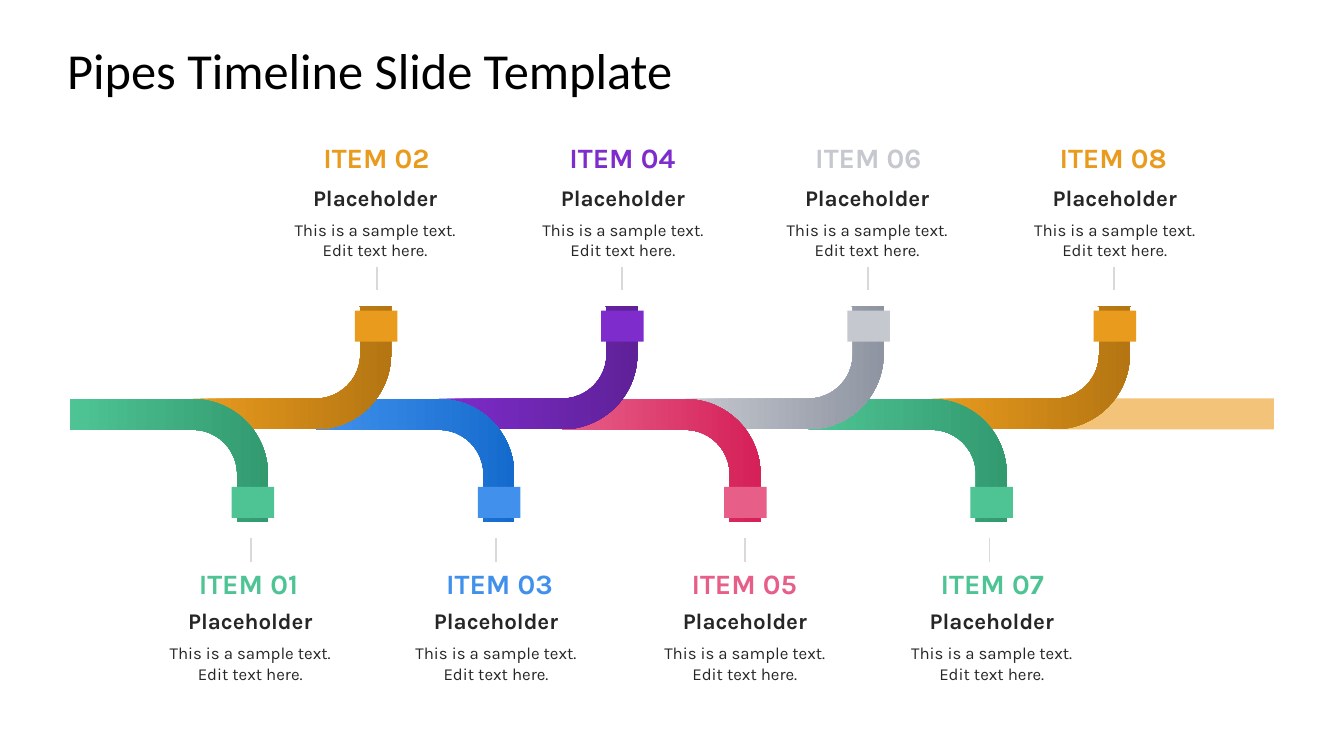
"""Build the pipes timeline slide."""
from pptx import Presentation
from pptx.dml.color import RGBColor
from pptx.enum.shapes import MSO_CONNECTOR, MSO_SHAPE
from pptx.enum.text import MSO_ANCHOR as ANCHOR, PP_ALIGN as ALIGN
from pptx.oxml.ns import qn
from pptx.util import Pt

TITLE = "Pipes Timeline Slide Template"
LABEL = "Placeholder"
BODY = "This is a sample text. Edit text here."
COLORS = {
    "green": "4EC494", "green_dark": "339A70",
    "orange": "E99B1E", "orange_dark": "B47512",
    "blue": "4191EC", "blue_dark": "156BCD",
    "purple": "7E2CCB", "purple_dark": "5F2198",
    "pink": "E75F89", "pink_dark": "D52058",
    "gray": "C5C8CF", "gray_dark": "8E94A1",
    "tail": "F2C378", "tick": "D9D9D9", "text": "262626", "title": "000000",
}
# heading, colour, centres of heading, text and tick
ITEMS = [
    ("ITEM 01", "green", 177.5, 178.8, 179.2),
    ("ITEM 02", "orange", 268.9, 268, 269.3),
    ("ITEM 03", "blue", 356.8, 354.4, 354.2),
    ("ITEM 04", "purple", 444.6, 445, 444.2),
    ("ITEM 05", "pink", 531.7, 532.1, 532.1),
    ("ITEM 06", "gray", 620.3, 619.4, 619.9),
    ("ITEM 07", "green", 708.8, 708.5, 707),
    ("ITEM 08", "orange", 795.2, 796.3, 795.6),
]
ROWS = {
    "up": dict(pipe=191.5, cap=221.8, tick=190.8, heading=101.5, label=130.3, body=157),
    "down": dict(pipe=257.8, cap=347.8, tick=384.5, heading=406.1, label=432.7, body=459.4),
}
PITCH, PIPE_X, CAP_X = 87.95, 77, 165.5
PIPE_W, PIPE_H, CAP_W, CAP_H = 87.95, 142.4, 30.4, 22.2
BEND = (0.25, 0.134, 0, 0.611)
TEXT_W, TICK_H = 119, 16.6


def rgb(name):
    """Return the named colour."""
    return RGBColor.from_string(COLORS[name])


def add_text(shapes, text, x, y, w, h, *, size, color, font="Karla",
             bold=False, align=ALIGN.CENTER, anchor=ANCHOR.MIDDLE):
    """Add a text box without margins."""
    tf = shapes.add_textbox(Pt(x), Pt(y), Pt(w), Pt(h)).text_frame
    tf.word_wrap = True
    tf.vertical_anchor = anchor
    tf.margin_left = tf.margin_right = tf.margin_top = tf.margin_bottom = 0
    p = tf.paragraphs[0]
    p.alignment = align
    r = p.add_run()
    r.text = text
    r.font.name, r.font.size, r.font.bold = font, Pt(size), bold
    r.font.color.rgb = rgb(color)


def add_block(shapes, kind, x, y, w, h, color):
    """Add a filled shape with no outline."""
    s = shapes.add_shape(kind, Pt(x), Pt(y), Pt(w), Pt(h))
    s.shadow.inherit = False
    s.line.fill.background()
    s.fill.solid()
    s.fill.fore_color.rgb = rgb(color)
    return s


def add_pipe(shapes, i, color, row, up):
    """Add one bent pipe with its cap."""
    group = shapes.add_group_shape().shapes
    s = add_block(group, MSO_SHAPE.BENT_ARROW, PIPE_X + i * PITCH, row["pipe"],
                  PIPE_W, PIPE_H, color)
    for k, value in enumerate(BEND):
        s.adjustments[k] = value
    s.rotation = 270 if up else 90
    if up:
        s._element.spPr.get_or_add_xfrm().set("flipV", "1")
    s.fill.gradient()
    s.fill.gradient_angle = 90
    for stop, name, position in zip(s.fill.gradient_stops, (color, color + "_dark"), (0, 1)):
        stop.color.rgb = rgb(name)
        stop.position = position
    add_block(group, MSO_SHAPE.RECTANGLE, CAP_X + i * PITCH, row["cap"], CAP_W, CAP_H, color)


def add_tick(shapes, x, y):
    """Add a short vertical line."""
    s = shapes.add_connector(MSO_CONNECTOR.STRAIGHT, Pt(x), Pt(y), Pt(x), Pt(y + TICK_H))
    s.line.width = Pt(1)
    s.line.color.rgb = rgb("tick")
    s._element.spPr.append(s._element.makeelement(qn("a:effectLst"), {}))


def main():
    """Draw the slide and save it."""
    prs = Presentation()
    prs.slide_width, prs.slide_height = Pt(960), Pt(540)
    shapes = prs.slides.add_slide(prs.slide_layouts[6]).shapes
    add_text(shapes, TITLE, 48, 21.6, 864, 56.2, size=36, color="title",
             font="Calibri", align=ALIGN.LEFT)
    add_block(shapes, MSO_SHAPE.RECTANGLE, 750.2, 284.6, 159.8, 22.2, "tail")
    for i, (heading, color, heading_x, text_x, tick_x) in reversed(list(enumerate(ITEMS))):
        up = i % 2 == 1
        row = ROWS["up" if up else "down"]
        add_pipe(shapes, i, color, row, up)
        add_tick(shapes, tick_x, row["tick"])
        add_text(shapes, heading, heading_x - TEXT_W / 2, row["heading"], TEXT_W, 21,
                 size=20, color=color, bold=True)
        add_text(shapes, LABEL, text_x - TEXT_W / 2, row["label"], TEXT_W, 21,
                 size=16, color="text", bold=True)
        add_text(shapes, BODY, text_x - TEXT_W / 2, row["body"], TEXT_W, 47.5,
                 size=12, color="text", anchor=ANCHOR.TOP)
    prs.save("out.pptx")


if __name__ == "__main__":
    main()
